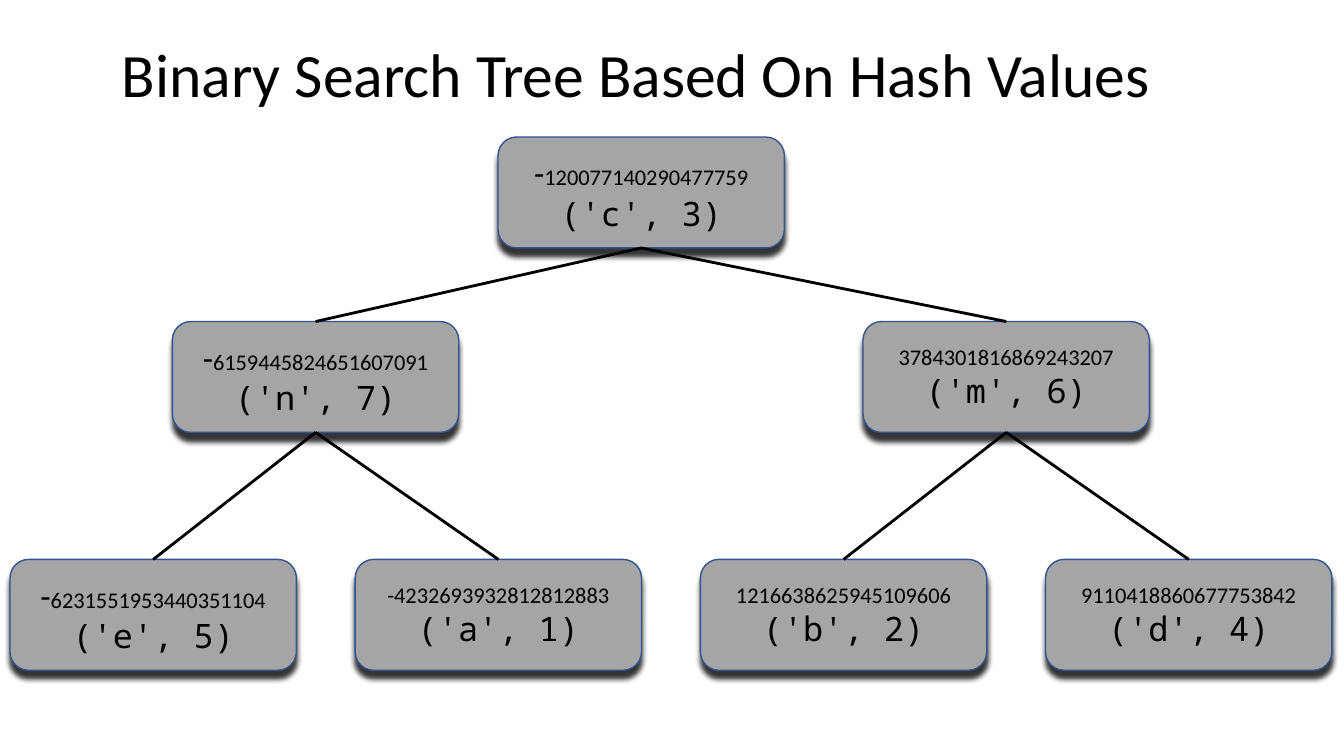
from dataclasses import dataclass

from lxml.etree import SubElement
from pptx import Presentation
from pptx.dml.color import RGBColor
from pptx.enum.shapes import MSO_CONNECTOR, MSO_SHAPE
from pptx.enum.text import MSO_ANCHOR, MSO_AUTO_SIZE, PP_ALIGN
from pptx.oxml.ns import qn
from pptx.shapes.autoshape import Shape
from pptx.shapes.connector import Connector
from pptx.slide import Slide
from pptx.util import Inches, Pt

BLACK = RGBColor(0x00, 0x00, 0x00)
GREY = RGBColor(0xA5, 0xA5, 0xA5)
BLUE = RGBColor(0x32, 0x54, 0x91)
TEXT_FONT = "Calibri"
CODE_FONT = "Noto Sans Mono"

NODE_WIDTH, NODE_HEIGHT = 2.84, 1.1
ROOT_TOP, MIDDLE_TOP, LEAF_TOP = 1.36, 3.19, 5.55
LEAF_LEFT = 0.1
LEAF_STEP = (10.37 - LEAF_LEFT) / 3
TOP_SITE, BOTTOM_SITE = 0, 2


@dataclass(frozen=True)
class Node:
    left: float
    top: float
    hash_value: str
    item: str
    large_minus: bool = False


# Nodes in level order: the children of node i are 2i + 1 and 2i + 2
NODES = [
    Node(4.94, ROOT_TOP, "-120077140290477759", "('c', 3)", True),
    Node(1.71, MIDDLE_TOP, "-6159445824651607091", "('n', 7)", True),
    Node(8.56, MIDDLE_TOP, "3784301816869243207", "('m', 6)"),
    Node(LEAF_LEFT, LEAF_TOP, "-6231551953440351104", "('e', 5)", True),
    Node(LEAF_LEFT + LEAF_STEP, LEAF_TOP, "-4232693932812812883", "('a', 1)"),
    Node(LEAF_LEFT + 2 * LEAF_STEP, LEAF_TOP, "1216638625945109606", "('b', 2)"),
    Node(LEAF_LEFT + 3 * LEAF_STEP, LEAF_TOP, "9110418860677753842", "('d', 4)"),
]


def add_shadow(shape: Shape) -> None:
    """Cast a soft dark shadow straight down."""
    shape.shadow.inherit = False
    effects = shape.element.spPr.find(qn("a:effectLst"))
    shadow = SubElement(effects, qn("a:outerShdw"), blurRad=str(Pt(4)),
                        dist=str(Pt(6)), dir="5400000", rotWithShape="0")
    color = SubElement(shadow, qn("a:srgbClr"), val=str(BLACK))
    SubElement(color, qn("a:alpha"), val="80000")


def add_node(slide: Slide, node: Node) -> Shape:
    shape = slide.shapes.add_shape(
        MSO_SHAPE.ROUNDED_RECTANGLE, Inches(node.left), Inches(node.top),
        Inches(NODE_WIDTH), Inches(NODE_HEIGHT))
    shape.fill.solid()
    shape.fill.fore_color.rgb = GREY
    shape.line.color.rgb = BLUE
    shape.line.width = Pt(1)
    add_shadow(shape)

    # Hash value above the stored item
    frame = shape.text_frame
    frame.vertical_anchor = MSO_ANCHOR.MIDDLE
    hash_paragraph, item_paragraph = frame.paragraphs[0], frame.add_paragraph()
    digits = node.hash_value
    if node.large_minus:
        minus = hash_paragraph.add_run()
        minus.text, digits = digits[0], digits[1:]
        minus.font.size = Pt(24)
    digits_run = hash_paragraph.add_run()
    digits_run.text = digits
    digits_run.font.size = Pt(16)
    hash_paragraph.font.name = TEXT_FONT
    item_paragraph.text = node.item
    item_paragraph.font.name = CODE_FONT
    item_paragraph.font.size = Pt(24)
    for paragraph in frame.paragraphs:
        paragraph.alignment = PP_ALIGN.CENTER
        paragraph.font.color.rgb = BLACK
    return shape


def add_branch(slide: Slide, parent: Shape, child: Shape) -> Connector:
    branch = slide.shapes.add_connector(MSO_CONNECTOR.STRAIGHT, 0, 0, 0, 0)
    branch.begin_connect(parent, BOTTOM_SITE)
    branch.end_connect(child, TOP_SITE)
    branch.line.color.rgb = BLACK
    branch.line.width = Pt(2)
    SubElement(branch.element.spPr, qn("a:effectLst"))
    return branch


def add_title(slide: Slide, text: str) -> None:
    box = slide.shapes.add_textbox(
        Inches(1.11), Inches(0.31), Inches(10.51), Inches(0.84))
    frame = box.text_frame
    frame.word_wrap = False
    frame.auto_size = MSO_AUTO_SIZE.SHAPE_TO_FIT_TEXT
    paragraph = frame.paragraphs[0]
    paragraph.text = text
    paragraph.font.name = TEXT_FONT
    paragraph.font.size = Pt(44)
    paragraph.font.color.rgb = BLACK


def main() -> None:
    presentation = Presentation()
    presentation.slide_width = Inches(13.33)
    presentation.slide_height = Inches(7.5)
    slide = presentation.slides.add_slide(presentation.slide_layouts[6])

    # Tree
    shapes = [add_node(slide, node) for node in NODES]
    for index, child in enumerate(shapes[1:]):
        add_branch(slide, shapes[index // 2], child)

    # Title
    add_title(slide, "Binary Search Tree Based On Hash Values")
    presentation.save("out.pptx")


if __name__ == "__main__":
    main()
